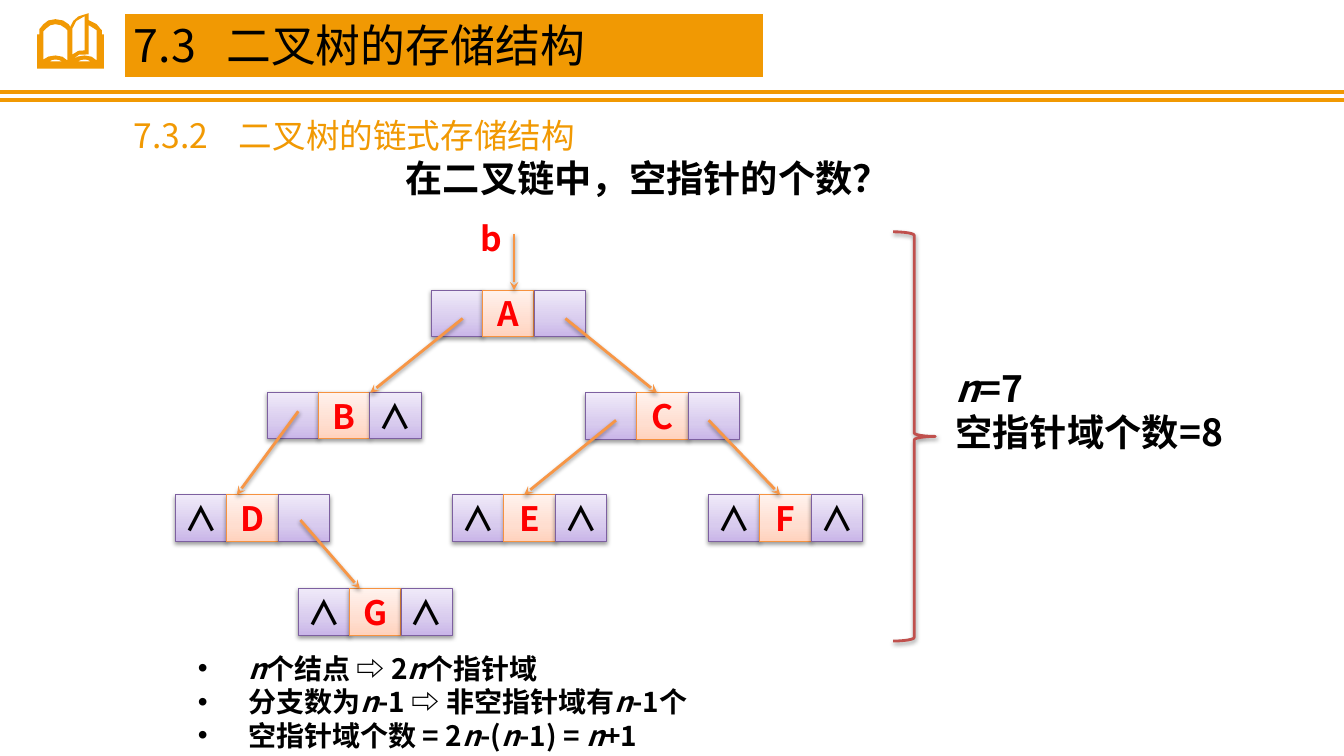
import copy

import pptx
import pptx.dml.color
import pptx.enum.dml
import pptx.enum.shapes
import pptx.enum.text
import pptx.oxml
import pptx.oxml.ns
import pptx.util

Pt = pptx.util.Pt
RGBColor = pptx.dml.color.RGBColor
ALIGN = pptx.enum.text.PP_ALIGN
SHAPE = pptx.enum.shapes.MSO_SHAPE
qn = pptx.oxml.ns.qn
FONT = "Noto Sans CJK SC"
BLACK = RGBColor(0x00, 0x00, 0x00)
WHITE = RGBColor(0xFF, 0xFF, 0xFF)
RED = RGBColor(0xFF, 0x00, 0x00)
ORANGE = RGBColor(0xF1, 0x99, 0x03)
ARROW = RGBColor(0xF7, 0x96, 0x46)
BRACE = RGBColor(0xC0, 0x50, 0x4D)
POINTER_LINE = RGBColor(0x7D, 0x60, 0xA0)
DATA_LINE = RGBColor(0xF6, 0x92, 0x40)
POINTER_FILL = [RGBColor(0xC9, 0xB5, 0xE8), RGBColor(0xD8, 0xCB, 0xEE), RGBColor(0xF0, 0xEA, 0xF9)]
DATA_FILL = [RGBColor(0xFF, 0xD2, 0xBD), RGBColor(0xFF, 0xDE, 0xD0), RGBColor(0xFF, 0xF2, 0xED)]

TITLE = "7.3\t二叉树的存储结构"
SUBTITLE = "7.3.2\t二叉树的链式存储结构"
QUESTION = "在二叉链中，空指针的个数？"
# Asterisks enclose italic text.
RESULT = ["*n*=7", "空指针域个数=8"]
RULES = [
    "*n*个结点 ⇨ 2*n*个指针域",
    "分支数为*n*-1 ⇨ 非空指针域有*n*-1个",
    "空指针域个数 = 2*n*-(*n*-1) = *n*+1",
]
# Left, top and the text of the three cells
NODES = [
    (308, 207.2, ("", "A", "")),
    (190.8, 280.2, ("", "B", "∧")),
    (125.2, 353.4, ("∧", "D", "")),
    (213, 420.4, ("∧", "G", "∧")),
    (418.2, 280.6, ("", "C", "")),
    (323.2, 353.4, ("∧", "E", "∧")),
    (506, 353.4, ("∧", "F", "∧")),
]
CELL_WIDTH, CELL_HEIGHT = 36.75, 33.4
LINKS = [
    (330.5, 227.5, 264.5, 280.6), (213.1, 293.8, 169.2, 353.4),
    (403.9, 227.5, 469.4, 280.6), (214.6, 371.5, 257, 420.4),
    (440, 300.2, 374.4, 353.4), (506.2, 300.2, 557.3, 353.4),
    (367.2, 167, 367.2, 207.4),
]
BOOK = [
    [(72.7, 24.5), (72.7, 21.6), (72, 20.9), (69.1, 17.3), (63.4, 14.4), (63.4, 9.4),
     (56, 11.7), (52.3, 15), (50.4, 18.7), (50.4, 19.4), (49, 17.3), (45, 14.6),
     (39.6, 13.7), (34.5, 14.6), (31, 17.3), (28.1, 20.9), (28.1, 24.5),
     (26.6, 24.5), (26.6, 49), (74.2, 49), (74.2, 24.5)],
    [(35.3, 43.9), (37.4, 42.8), (39.6, 42.5), (42, 42.8), (44.6, 43.9)],
    [(48.2, 43.2), (44.6, 40.5), (39.6, 39.6), (34.6, 40.4), (31, 42.5), (31, 22.3),
     (33.1, 20.2), (36, 18), (39.6, 17.3), (43.4, 18), (46.8, 20.2), (48.2, 21.6)],
    [(60.5, 11.5), (60.5, 36), (56, 36.3), (51.8, 38.9), (51.8, 20.2), (54.5, 15)],
    [(55.4, 43.9), (58, 42.8), (60.5, 42.5), (62.8, 42.8), (64.8, 43.9)],
    [(69.1, 43.2), (65.5, 40.5), (60.5, 39.6), (55.6, 40.4), (51.8, 42.5),
     (56.5, 39), (63.4, 38.9), (63.4, 18), (67, 20.2), (69.1, 21.6)],
]


def add_element(parent, tag, **attributes):
    element = parent.makeelement(qn(tag), attributes)
    parent.append(element)
    return element


def add_shadow(shape):
    properties = shape._element.spPr
    effects = properties.find(qn("a:effectLst"))
    if effects is None:
        effects = add_element(properties, "a:effectLst")
    shadow = add_element(effects, "a:outerShdw", blurRad=str(Pt(3.1)), dist=str(Pt(1.6)),
                         dir="5400000", rotWithShape="0")
    color = add_element(shadow, "a:srgbClr", val=str(BLACK))
    add_element(color, "a:alpha", val="38000")


def write(paragraph, text, size, color, bold=True, align=ALIGN.LEFT):
    """Fill a paragraph, setting the parts between asterisks in italics."""
    paragraph.alignment = align
    for index, part in enumerate(text.split("*")):
        if not part:
            continue
        run = paragraph.add_run()
        run.text = part
        font = run.font
        font.name, font.size, font.bold = FONT, Pt(size), bold
        font.italic = index % 2 == 1
        font.color.rgb = color
        add_element(run._r.get_or_add_rPr(), "a:ea", typeface=FONT)


def add_text(box, lines, size, color, bold=True, align=ALIGN.LEFT):
    shape = slide.shapes.add_textbox(*map(Pt, box))
    frame = shape.text_frame
    frame.word_wrap = True
    for index, line in enumerate(lines):
        paragraph = frame.add_paragraph() if index else frame.paragraphs[0]
        write(paragraph, line, size, color, bold, align)
    return shape


def add_tab_stop(shape, position):
    properties = shape.text_frame.paragraphs[0]._p.get_or_add_pPr()
    tabs = add_element(properties, "a:tabLst")
    add_element(tabs, "a:tab", pos=str(Pt(position)), algn="l")


def add_line(start_x, start_y, end_x, end_y, color, width):
    line = slide.shapes.add_connector(pptx.enum.shapes.MSO_CONNECTOR.STRAIGHT,
                                      Pt(start_x), Pt(start_y), Pt(end_x), Pt(end_y))
    line.line.color.rgb = color
    line.line.width = Pt(width)
    add_element(line._element.spPr, "a:effectLst")
    return line


def add_cell(left, top, text, is_data):
    cell = slide.shapes.add_shape(SHAPE.RECTANGLE, Pt(left), Pt(top), Pt(CELL_WIDTH), Pt(CELL_HEIGHT))
    cell.fill.gradient()
    cell.fill.gradient_angle = 90
    stops = cell._element.spPr.find(".//" + qn("a:gsLst"))
    stops.append(copy.deepcopy(stops[0]))
    colors = DATA_FILL if is_data else POINTER_FILL
    for stop, position, color in zip(cell.fill.gradient_stops, (0, 0.35, 1), colors):
        stop.position = position
        stop.color.rgb = color
    cell.line.color.rgb = DATA_LINE if is_data else POINTER_LINE
    cell.line.width = Pt(0.75)
    add_shadow(cell)
    if text:
        cell.text_frame.word_wrap = False
        write(cell.text_frame.paragraphs[0], text, 24, RED if is_data else BLACK, align=ALIGN.CENTER)


def add_book():
    start, *rest = [[(Pt(x), Pt(y)) for x, y in outline] for outline in BOOK]
    builder = slide.shapes.build_freeform(*start[0], scale=1.0)
    builder.add_line_segments(start[1:], close=True)
    for outline in rest:
        builder.move_to(*outline[0])
        builder.add_line_segments(outline[1:], close=True)
    book = builder.convert_to_shape()
    book.shadow.inherit = False
    book.fill.solid()
    book.fill.fore_color.rgb = ORANGE
    book.line.fill.background()


presentation = pptx.Presentation()
presentation.slide_width, presentation.slide_height = Pt(960), Pt(540)
slide = presentation.slides.add_slide(presentation.slide_layouts[6])

for rule_y in (65.7, 71.4):
    add_line(0, rule_y, 960, rule_y, ORANGE, 3)
add_book()
add_text((230.4, 107.3, 465.1, 39.6), [QUESTION], 26.6, BLACK, align=ALIGN.CENTER)

rules = add_text((122.4, 453.6, 748.1, 95), RULES, 20, BLACK)
rules.fill.solid()
rules.fill.fore_color.rgb = WHITE
rules.text_frame.margin_left = Pt(18.9)
rules.text_frame.margin_top = rules.text_frame.margin_bottom = Pt(11.5)
for paragraph in rules.text_frame.paragraphs:
    properties = paragraph._p.get_or_add_pPr()
    properties.set("marL", str(Pt(36)))
    properties.set("indent", str(-Pt(36)))
    add_element(properties, "a:buFont", typeface="Arial")
    add_element(properties, "a:buChar", char="•")

result = add_text((675.4, 257, 210.2, 104.4), RESULT, 26.6, BLACK)
for paragraph in result.text_frame.paragraphs:
    paragraph.line_spacing = Pt(32)

brace = slide.shapes.add_shape(SHAPE.RIGHT_BRACE, Pt(637.9), Pt(165.6), Pt(30.2), Pt(292.3))
brace.fill.background()
brace.line.color.rgb = BRACE
brace.line.width = Pt(2)
add_shadow(brace)

for left, top, texts in NODES:
    for column, text in enumerate(texts):
        add_cell(left + column * CELL_WIDTH, top, text, column == 1)
for link in LINKS:
    arrow = add_line(*link, ARROW, 2)
    add_element(arrow.line._get_or_add_ln(), "a:tailEnd", type="stealth")
    add_shadow(arrow)
add_text((317.5, 151.9, 66.2, 36), ["b"], 24, RED, align=ALIGN.CENTER)

title = add_text((88.6, 9.4, 456.5, 46), [TITLE], 32, BLACK, bold=False)
title.fill.solid()
title.fill.fore_color.rgb = ORANGE
title.line.color.rgb = WHITE
title.line.width = Pt(0.75)
add_tab_stop(title, 66)
subtitle = add_text((88.6, 78.5, 455.8, 36), [SUBTITLE], 24, ORANGE, bold=False)
add_tab_stop(subtitle, 75)

presentation.save("out.pptx")
